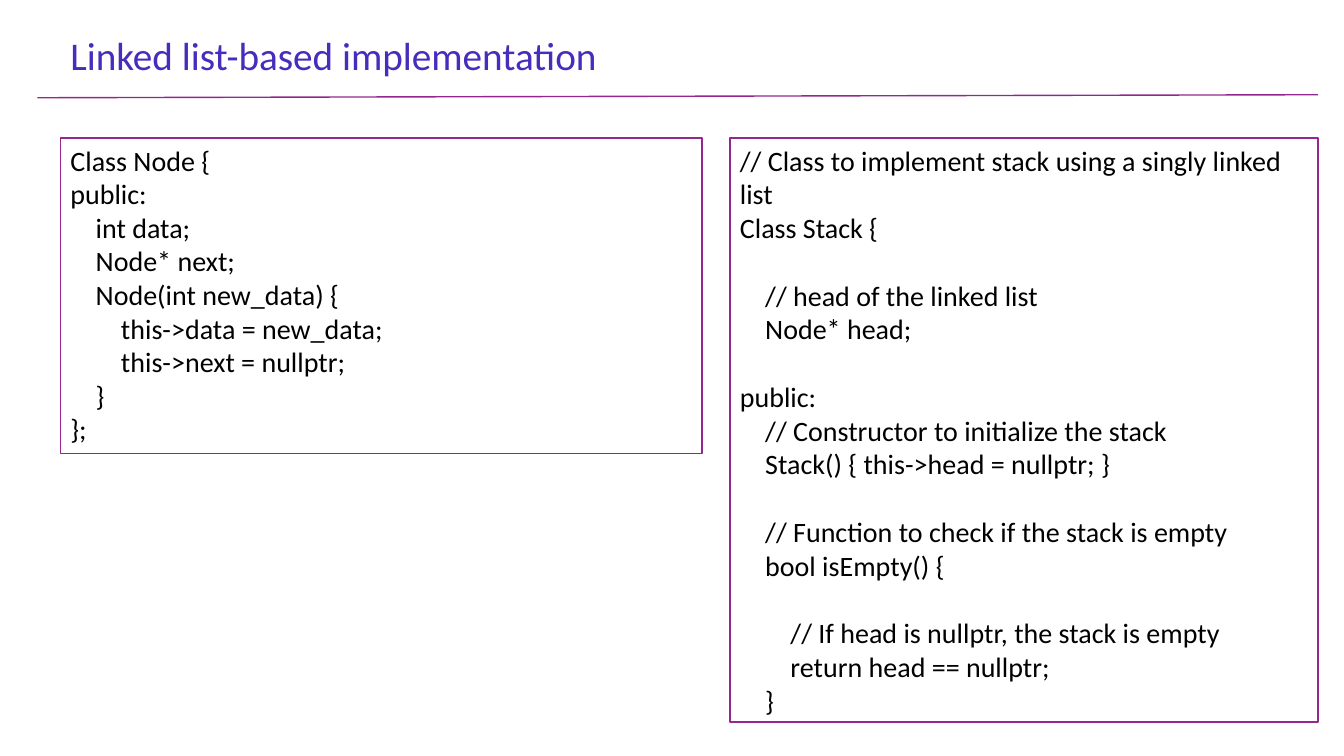
import dataclasses

import lxml.etree
import pptx
import pptx.dml.color
import pptx.enum.shapes
import pptx.enum.text
import pptx.oxml.ns
import pptx.util


@dataclasses.dataclass(frozen=True)
class Theme:
    """Colours, type sizes and line widths of the slide."""
    font: str = "Calibri"
    title: str = "482CBC"
    accent: str = "92278F"
    code: str = "000000"
    paper: str = "FFFFFF"
    title_size: float = 28
    code_size: float = 20
    code_line: float = 24.4
    rule_width: float = 1
    frame_width: float = 1.25


THEME = Theme()
WIDTH, HEIGHT = 13.33, 7.5
LEFT, RIGHT = 0.6, 13.07
CODE_TOP = 1.37

NODE_CODE = """\
Class Node {
public:
    int data;
    Node* next;
    Node(int new_data) {
        this->data = new_data;
        this->next = nullptr;
    }
};"""

STACK_CODE = """\
// Class to implement stack using a singly linked list
Class Stack {

    // head of the linked list
    Node* head;

public:
    // Constructor to initialize the stack
    Stack() { this->head = nullptr; }

    // Function to check if the stack is empty
    bool isEmpty() {

        // If head is nullptr, the stack is empty
        return head == nullptr;
    }"""


def rgb(value):
    """Return the colour for a hex value."""
    return pptx.dml.color.RGBColor.from_string(value)


def inches(*lengths):
    """Convert lengths in inches."""
    return [pptx.util.Inches(length) for length in lengths]


def write_text(frame, text, size, color, line_gap=0, wrap=True,
               anchor=pptx.enum.text.MSO_ANCHOR.TOP):
    """Write lines as paragraphs, turning each empty line into space before the next."""
    frame.word_wrap = wrap
    frame.vertical_anchor = anchor
    gap = 0
    started = False
    for line in text.split("\n"):
        if not line:
            gap += line_gap
            continue
        paragraph = frame.add_paragraph() if started else frame.paragraphs[0]
        started = True
        paragraph.alignment = pptx.enum.text.PP_ALIGN.LEFT
        if gap:
            paragraph.space_before = pptx.util.Pt(gap)
        gap = 0
        run = paragraph.add_run()
        run.text = line
        run.font.name = THEME.font
        run.font.size = pptx.util.Pt(size)
        run.font.color.rgb = rgb(color)


def add_heading(slide, box, text):
    """Place the title and the slightly rising rule below it."""
    left, top, width, height = box
    title = slide.shapes.add_textbox(*inches(left, top, width, height))
    write_text(title.text_frame, text, size=THEME.title_size, color=THEME.title, wrap=False)
    rule = slide.shapes.add_connector(
        pptx.enum.shapes.MSO_CONNECTOR.STRAIGHT,
        *inches(left - 0.23, top + height + 0.14, RIGHT, top + height + 0.11))
    rule.line.color.rgb = rgb(THEME.accent)
    rule.line.width = pptx.util.Pt(THEME.rule_width)
    lxml.etree.SubElement(rule._element.spPr, pptx.oxml.ns.qn("a:effectLst"))


def add_code_panel(slide, box, code):
    """Fill the box with a framed code listing."""
    panel = slide.shapes.add_shape(pptx.enum.shapes.MSO_SHAPE.RECTANGLE, *inches(*box))
    panel.shadow.inherit = False
    panel.fill.solid()
    panel.fill.fore_color.rgb = rgb(THEME.paper)
    panel.line.color.rgb = rgb(THEME.accent)
    panel.line.width = pptx.util.Pt(THEME.frame_width)
    write_text(panel.text_frame, code, size=THEME.code_size, color=THEME.code,
               line_gap=THEME.code_line)


def main():
    """Build the slide and save it."""
    deck = pptx.Presentation()
    deck.slide_width, deck.slide_height = inches(WIDTH, HEIGHT)
    slide = deck.slides.add_slide(deck.slide_layouts[6])
    add_heading(slide, (LEFT, 0.26, 5.49, 0.57), "Linked list-based implementation")
    stack_width = 5.83
    add_code_panel(slide, (LEFT, CODE_TOP, 6.36, 3.13), NODE_CODE)
    add_code_panel(slide, (RIGHT - stack_width, CODE_TOP, stack_width, 5.79), STACK_CODE)
    deck.save("out.pptx")


if __name__ == "__main__":
    main()
